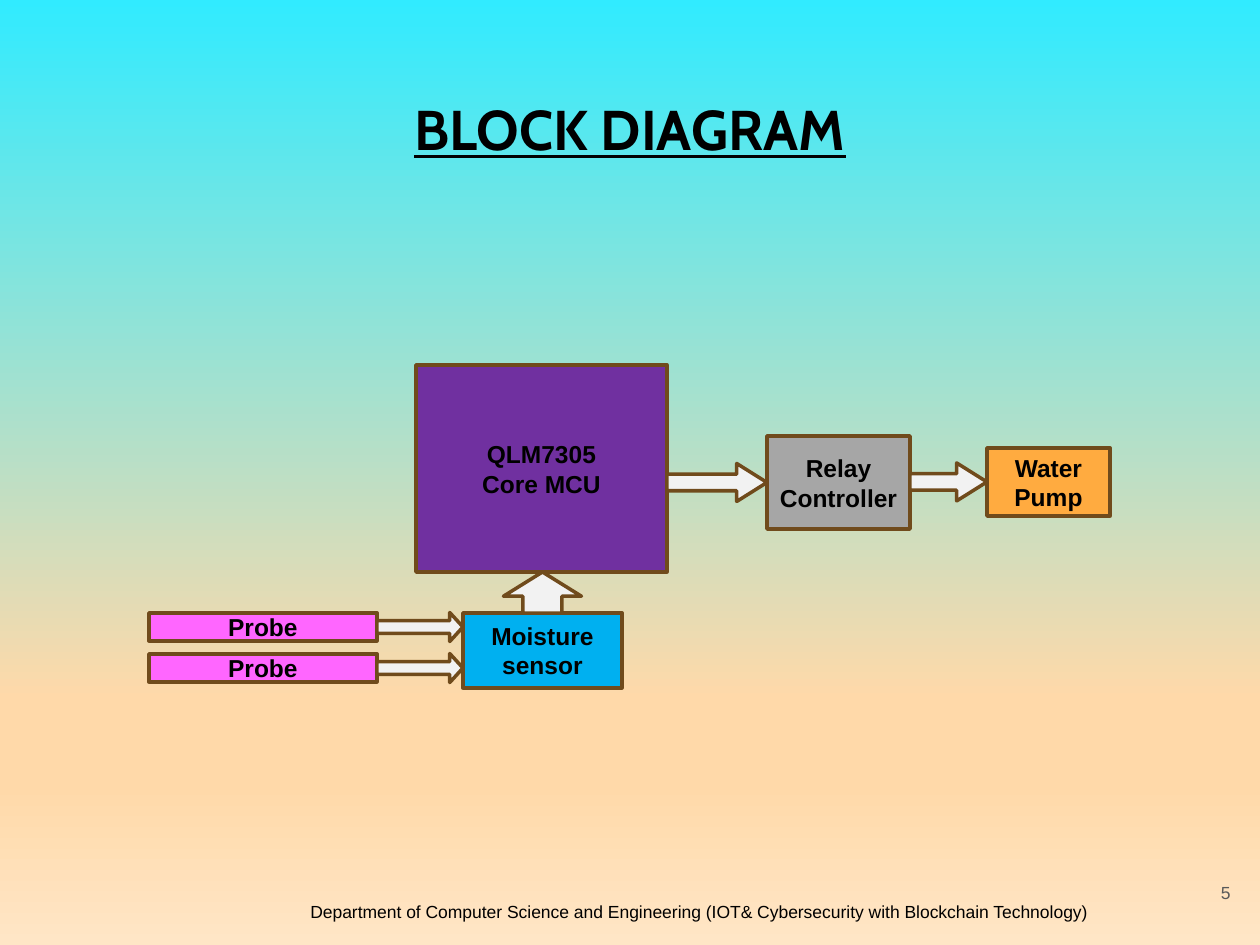
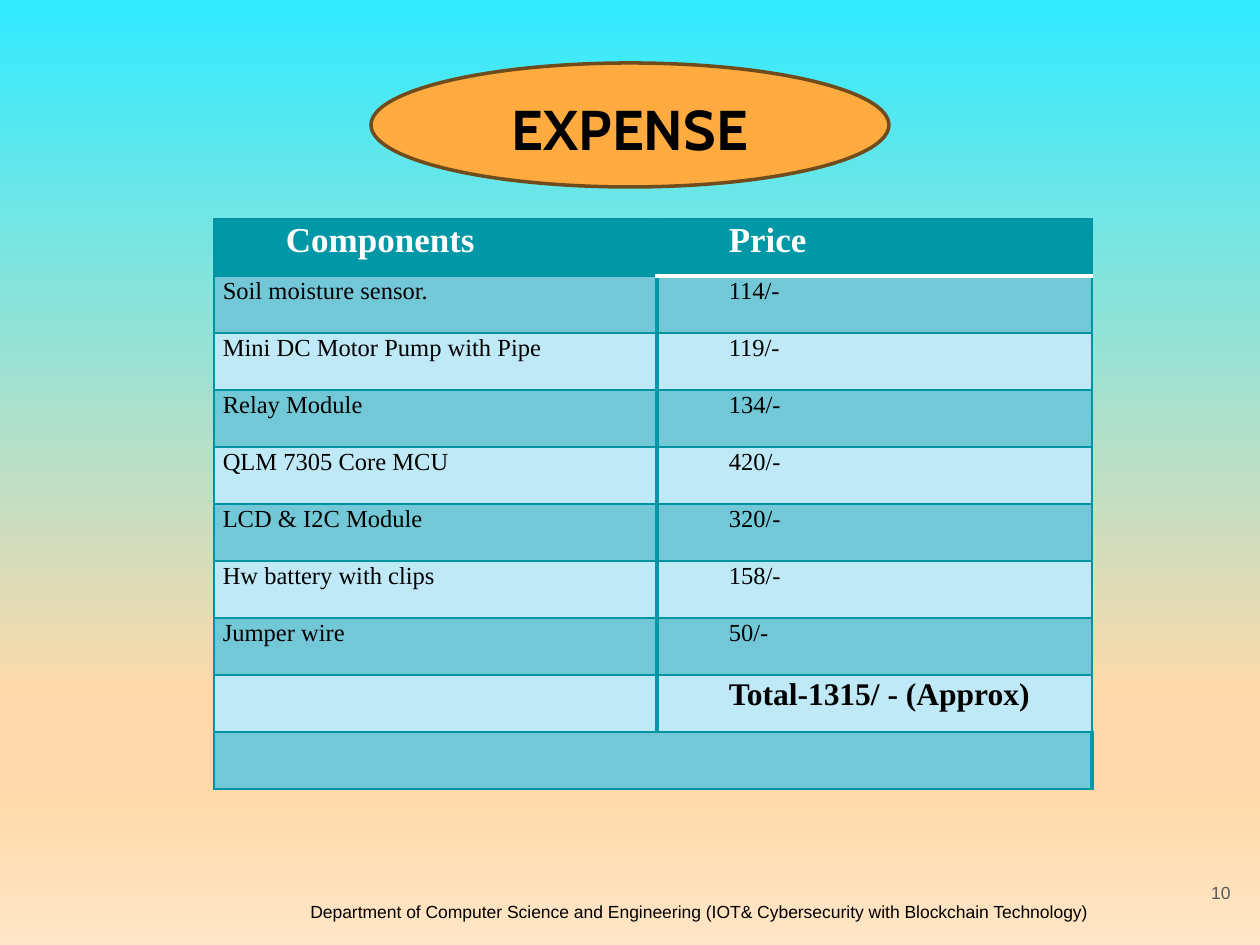
from lxml.etree import SubElement
from pptx import Presentation
from pptx.dml.color import RGBColor
from pptx.enum.shapes import MSO_SHAPE
from pptx.enum.text import MSO_ANCHOR, MSO_AUTO_SIZE, PP_ALIGN
from pptx.oxml.ns import qn
from pptx.util import Emu, Inches, Pt

BLACK = RGBColor(0x00, 0x00, 0x00)
WHITE = RGBColor(0xFF, 0xFF, 0xFF)
GREY = RGBColor(0x59, 0x59, 0x59)
BROWN = RGBColor(0x70, 0x4B, 0x1C)
ORANGE = RGBColor(0xFF, 0xAB, 0x40)
PURPLE = RGBColor(0x70, 0x30, 0xA0)
SILVER = RGBColor(0xA6, 0xA6, 0xA6)
PINK = RGBColor(0xFF, 0x66, 0xFF)
BLUE = RGBColor(0x00, 0xB0, 0xF0)
PALE = RGBColor(0xF2, 0xF2, 0xF2)
TEAL = RGBColor(0x00, 0x97, 0xA7)
DARK_TEAL = RGBColor(0x00, 0x94, 0xA3)
DARK_BAND = RGBColor(0x73, 0xC8, 0xD7)
LIGHT_BAND = RGBColor(0xBF, 0xE9, 0xF7)

BACKGROUND_STOPS = [(0, "31EBFF"), (74, "FFD9A9"), (83, "FFD9A9"), (100, "FFE6C6")]
FOOTER = ("Department of Computer Science and Engineering "
          "(IOT& Cybersecurity with Blockchain Technology)")
FOOTER_BOX = (298, 895, 816, 34)
TITLE_BOX = (43, 82, 1174, 105)
NUMBER_BOX = (1167, 856, 76, 72)
EXPENSE_OVAL = (371, 63, 518, 124)

TITLE_FONT = {"name": "Cabin", "size": Pt(32), "bold": True}
SMALL_FONT = {"name": "Arial", "size": Pt(10)}
BLOCK_FONT = {"name": "Arial", "size": Pt(14), "bold": True}
HEADER_FONT = {"name": "Times New Roman", "size": Pt(20), "bold": True}
CELL_FONT = {"name": "Times New Roman", "size": Pt(14), "bold": False}
TOTAL_FONT = {"name": "Times New Roman", "size": Pt(18), "bold": True}
FRAME = {f"margin_{side}": Inches(0.1) for side in ("left", "top", "right", "bottom")}

BLOCKS = {
    "controller": (["QLM7305", "Core MCU"], (416, 365, 251, 207), PURPLE),
    "relay": (["Relay", "Controller"], (767, 436, 143, 93), SILVER),
    "pump": (["Water", "Pump"], (987, 448, 123, 68), ORANGE),
    "probe 1": (["Probe"], (149, 613, 228, 28), PINK),
    "probe 2": (["Probe"], (149, 654, 228, 28), PINK),
    "sensor": (["Moisture", "sensor"], (463, 613, 159, 75), BLUE),
}
# from, to, block whose middle sets the height, thickness, head ratio
RIGHT_ARROWS = [
    ("probe 1", "sensor", "probe 1", 29, 0.455),
    ("probe 2", "sensor", "probe 2", 29, 0.455),
    ("controller", "relay", "relay", 38, 0.796),
    ("relay", "pump", "pump", 38, 0.796),
]
UP_ARROW_WIDTH = 78

EXPENSES = [
    ("Components", "Price"),
    ("Soil moisture sensor.", "114/-"),
    ("Mini DC Motor Pump with Pipe", "119/-"),
    ("Relay Module", "134/-"),
    ("QLM 7305 Core MCU", "420/-"),
    ("LCD & I2C Module", "320/-"),
    ("Hw battery with clips", "158/-"),
    ("Jumper wire", "50/-"),
    ("", "Total-1315/ - (Approx)"),
    ("", ""),
]
TABLE_LEFT, TABLE_TOP = 214, 219
COLUMN_WIDTHS = (443, 435)
ROW_HEIGHT = 57
THIN = (DARK_TEAL, 0.75)
THICK = (TEAL, 2)
HEADER_RULE = (WHITE, 2)


def px(*lengths):
    return [Emu(round(length * 914400 / 126)) for length in lengths]


def assign(target, values):
    for name, value in values.items():
        setattr(target, name, value)


def write(text_frame, lines, font, color, alignment=PP_ALIGN.LEFT, **paragraph_format):
    for index, line in enumerate(lines):
        paragraph = text_frame.paragraphs[0] if index == 0 else text_frame.add_paragraph()
        assign(paragraph, {"alignment": alignment, **paragraph_format})
        run = paragraph.add_run()
        run.text = line
        assign(run.font, font)
        run.font.color.rgb = color


def add_outlined(slide, preset, box, fill):
    shape = slide.shapes.add_shape(preset, *px(*box))
    shape.shadow.inherit = False
    shape.fill.solid()
    shape.fill.fore_color.rgb = fill
    shape.line.color.rgb = BROWN
    shape.line.width = Pt(2)
    return shape


def add_arrow(slide, preset, box, shaft, head):
    arrow = add_outlined(slide, preset, box, PALE)
    arrow.adjustments[0] = shaft
    arrow.adjustments[1] = head


def set_master_background(master):
    fill = master.background.fill
    fill.gradient()
    fill.gradient_angle = 270
    stops = master.element.find(".//" + qn("a:gsLst"))
    for stop in list(stops):
        stops.remove(stop)
    for percent, color in BACKGROUND_STOPS:
        stop = SubElement(stops, qn("a:gs"), pos=str(percent * 1000))
        SubElement(stop, qn("a:srgbClr"), val=color)


def move_footer_to_master(slide, master):
    """Build the footer on a slide, then hand it to the master that all slides share."""
    footer = slide.shapes.add_textbox(*px(*FOOTER_BOX))
    footer.text_frame.word_wrap = False
    write(footer.text_frame, [FOOTER], SMALL_FONT, BLACK)
    master.shapes.element.append(footer.element)


def add_titled_slide(presentation, title_text, number, underline=False):
    slide = presentation.slides.add_slide(presentation.slide_layouts[5])
    title = slide.shapes.title
    assign(title, dict(zip(("left", "top", "width", "height"), px(*TITLE_BOX))))
    assign(title.text_frame, {**FRAME, "vertical_anchor": MSO_ANCHOR.TOP,
                              "auto_size": MSO_AUTO_SIZE.NONE})
    write(title.text_frame, [title_text], {**TITLE_FONT, "underline": underline}, BLACK,
          PP_ALIGN.CENTER, space_after=Pt(6))
    number_box = slide.shapes.add_textbox(*px(*NUMBER_BOX))
    assign(number_box.text_frame, {**FRAME, "word_wrap": True,
                                   "vertical_anchor": MSO_ANCHOR.MIDDLE})
    write(number_box.text_frame, [str(number)], SMALL_FONT, GREY,
          PP_ALIGN.RIGHT, space_after=Pt(6))
    return slide


def draw_block_diagram(slide):
    for lines, box, fill in BLOCKS.values():
        block = add_outlined(slide, MSO_SHAPE.RECTANGLE, box, fill)
        assign(block.text_frame, {"margin_left": 0, "margin_right": 0, "word_wrap": True,
                                  "vertical_anchor": MSO_ANCHOR.MIDDLE})
        write(block.text_frame, lines, BLOCK_FONT, BLACK, PP_ALIGN.CENTER)

    boxes = {name: box for name, (_, box, _) in BLOCKS.items()}
    for source, target, level, thickness, head in RIGHT_ARROWS:
        left = boxes[source][0] + boxes[source][2]
        middle = boxes[level][1] + boxes[level][3] / 2
        box = (left, middle - thickness / 2, boxes[target][0] - left, thickness)
        add_arrow(slide, MSO_SHAPE.RIGHT_ARROW, box, 0.437, head)

    sensor, controller = boxes["sensor"], boxes["controller"]
    top = controller[1] + controller[3]
    left = sensor[0] + (sensor[2] - UP_ARROW_WIDTH) / 2
    add_arrow(slide, MSO_SHAPE.UP_ARROW, (left, top, UP_ARROW_WIDTH, sensor[1] - top),
              0.5, 0.591)


def set_borders(cell, left, right, top, bottom):
    properties = cell._tc.get_or_add_tcPr()
    for tag, (color, points) in zip(("lnL", "lnR", "lnT", "lnB"), (left, right, top, bottom)):
        line = SubElement(properties, qn(f"a:{tag}"), w=str(Pt(points)))
        fill = SubElement(line, qn("a:solidFill"))
        SubElement(fill, qn("a:srgbClr"), val=str(color))


def cell_look(row, last_row):
    """Return the font, text colour and fill of a row."""
    if row == 0:
        return HEADER_FONT, WHITE, TEAL
    font = TOTAL_FONT if row == last_row - 1 else CELL_FONT
    return font, BLACK, DARK_BAND if row % 2 else LIGHT_BAND


def draw_expense_table(slide):
    last_row = len(EXPENSES) - 1
    frame = slide.shapes.add_table(len(EXPENSES), len(COLUMN_WIDTHS), *px(
        TABLE_LEFT, TABLE_TOP, sum(COLUMN_WIDTHS), ROW_HEIGHT * len(EXPENSES)))
    table = frame.table
    table.horz_banding = False
    for column, width in zip(table.columns, px(*COLUMN_WIDTHS)):
        column.width = width
    for row in table.rows:
        row.height = px(ROW_HEIGHT)[0]
    table.cell(last_row, 0).merge(table.cell(last_row, 1))

    for row, texts in enumerate(EXPENSES):
        font, color, fill = cell_look(row, last_row)
        for column, text in enumerate(texts):
            cell = table.cell(row, column)
            indented = row == 0 or column == 1
            assign(cell, {"margin_left": Inches(0.57 if indented else 0.07),
                          "margin_right": Inches(0.07), "margin_top": 0, "margin_bottom": 0})
            set_borders(
                cell,
                left=THICK if column == 1 else THIN,
                right=THICK if column == 0 or row == last_row else THIN,
                top=HEADER_RULE if (row, column) == (1, 1) else THIN,
                bottom=HEADER_RULE if (row, column) == (0, 1) else THIN)
            cell.fill.solid()
            cell.fill.fore_color.rgb = fill
            if text:
                write(cell.text_frame, [text], font, color, line_spacing=1.07)


def main():
    presentation = Presentation()
    presentation.slide_width, presentation.slide_height = px(1260, 945)
    master = presentation.slide_master
    set_master_background(master)

    diagram_slide = add_titled_slide(presentation, "BLOCK DIAGRAM", 5, underline=True)
    move_footer_to_master(diagram_slide, master)
    draw_block_diagram(diagram_slide)

    expense_slide = add_titled_slide(presentation, "EXPENSE", 10)
    oval = add_outlined(expense_slide, MSO_SHAPE.OVAL, EXPENSE_OVAL, ORANGE)
    expense_slide.shapes.title.element.addprevious(oval.element)
    draw_expense_table(expense_slide)

    presentation.save("out.pptx")


if __name__ == "__main__":
    main()
